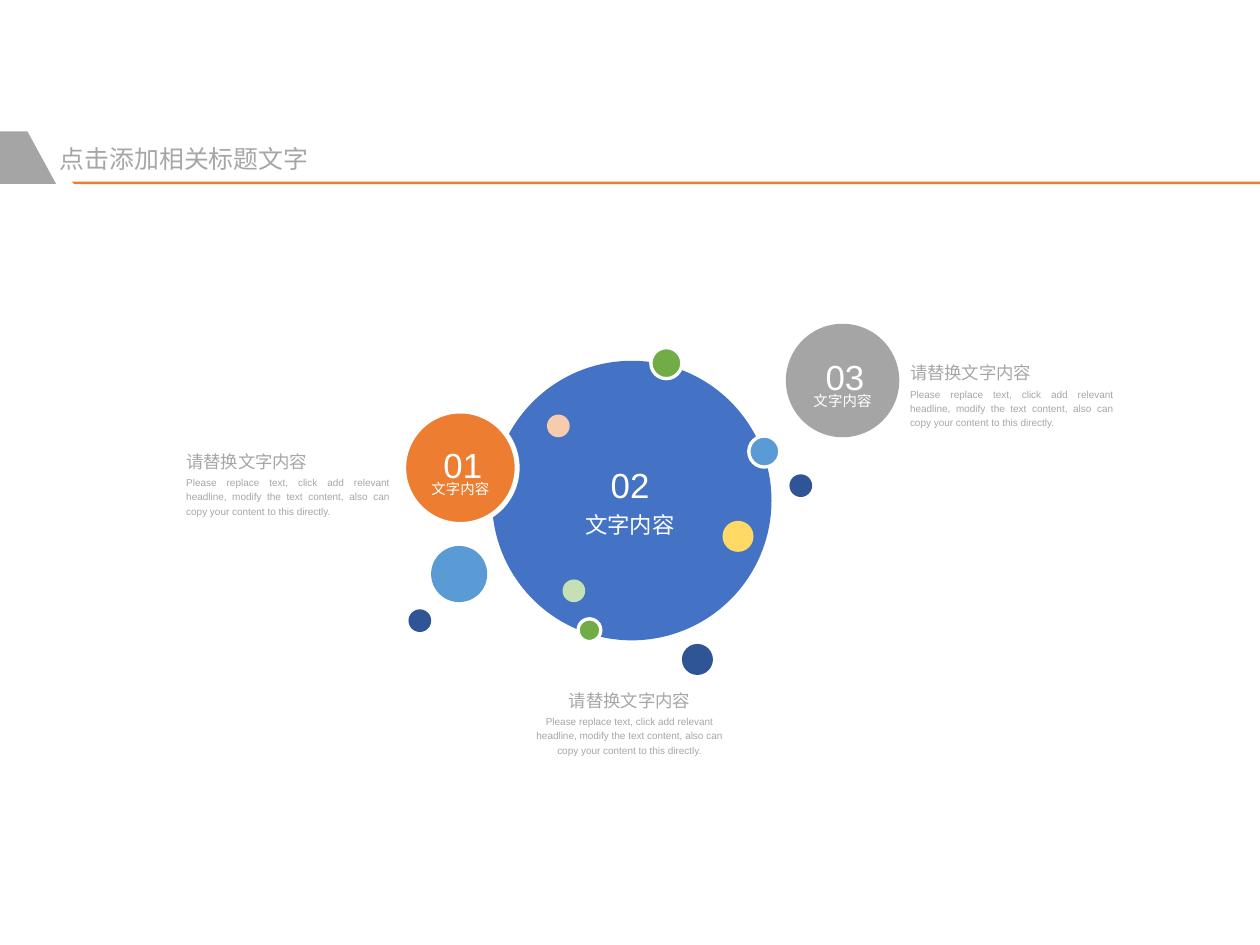
from dataclasses import dataclass

from pptx import Presentation
from pptx.dml.color import RGBColor
from pptx.enum.shapes import MSO_SHAPE
from pptx.enum.text import MSO_ANCHOR, MSO_AUTO_SIZE, PP_ALIGN
from pptx.shapes.base import BaseShape
from pptx.slide import Slide
from pptx.text.text import TextFrame
from pptx.util import Inches, Pt

OVAL = MSO_SHAPE.OVAL
TOP, MIDDLE = MSO_ANCHOR.TOP, MSO_ANCHOR.MIDDLE
LEFT, CENTER, JUSTIFY = PP_ALIGN.LEFT, PP_ALIGN.CENTER, PP_ALIGN.JUSTIFY
NO_FIT, GROW = MSO_AUTO_SIZE.NONE, MSO_AUTO_SIZE.SHAPE_TO_FIT_TEXT

FONT = "Arial"
COLORS = {
    "white": "FFFFFF", "text": "A6A6A6", "gray": "A5A5A5", "blue": "4472C4",
    "navy": "2F5597", "sky": "5B9BD5", "green": "70AD47", "mint": "C5E0B4",
    "orange": "ED7D31", "peach": "F8CBAD", "yellow": "FFD966",
}
TITLE = "点击添加相关标题文字"
LABEL = "文字内容"
HEADING = "请替换文字内容"
BODY = ("Please replace text, click add relevant headline, modify the text "
        "content, also can copy your content to this directly.")
BODY_WIDTH, HEADING_WIDTH = 1.7, 1.29


@dataclass
class Disc:
    left: float
    top: float
    size: float
    color: str
    outline: float = 0


@dataclass
class Label:
    number: str
    number_left: float
    number_top: float
    left: float
    top: float
    height: float
    size: float


@dataclass
class Caption:
    left: float
    top: float
    align: PP_ALIGN


DISCS = [
    Disc(4.12, 3.02, 2.34, "blue"),
    Disc(5.45, 2.91, 0.26, "green", 2),
    Disc(4.84, 5.18, 0.19, "green", 2),
    Disc(6.61, 3.97, 0.19, "navy"),
    Disc(5.71, 5.39, 0.26, "navy"),
    Disc(4.58, 3.47, 0.19, "peach"),
    Disc(3.38, 3.44, 0.95, "orange", 3),
    Disc(6.05, 4.36, 0.26, "yellow"),
    Disc(3.61, 4.57, 0.47, "sky"),
    Disc(6.58, 2.71, 0.95, "gray"),
    Disc(6.27, 3.65, 0.26, "sky", 2),
    Disc(3.42, 5.1, 0.19, "navy"),
    Disc(4.71, 4.85, 0.19, "mint"),
]
LABELS = [
    Label("01", 3.63, 3.64, 3.44, 4, 0.16, 8.7),
    Label("02", 5.03, 3.81, 4.86, 4.24, 0.25, 13.5),
    Label("03", 6.83, 2.91, 6.64, 3.26, 0.16, 8.7),
]
CAPTIONS = [
    Caption(1.56, 3.74, JUSTIFY),
    Caption(4.42, 5.74, CENTER),
    Caption(7.62, 3, JUSTIFY),
]
HEADER = {
    "orange": [(0.6, 1.52), (10.55, 1.52), (10.55, 1.54), (0.62, 1.54)],
    "gray": [(0.23, 1.1), (0.47, 1.54), (0, 1.54), (0, 1.1)],
}


def rgb(color: str) -> RGBColor:
    return RGBColor.from_string(COLORS[color])


def paint(sp: BaseShape, color: str, outline: float = 0) -> None:
    sp.shadow.inherit = False
    sp.fill.solid()
    sp.fill.fore_color.rgb = rgb(color)
    if outline:
        sp.line.color.rgb = rgb("white")
        sp.line.width = Pt(outline)
    else:
        sp.line.fill.background()


def write(tf: TextFrame, text: str, size: float, color: str, align: PP_ALIGN,
          spacing: float = 1.2, anchor: MSO_ANCHOR = TOP) -> None:
    tf.margin_left = tf.margin_top = tf.margin_right = tf.margin_bottom = 0
    tf.word_wrap = True
    tf.vertical_anchor = anchor
    tf.text = text
    p = tf.paragraphs[0]
    p.alignment = align
    p.line_spacing = spacing
    r = p.runs[0]
    r.font.name = FONT
    r.font.size = Pt(size)
    r.font.color.rgb = rgb(color)


def add_text(s: Slide, left: float, top: float, width: float, height: float,
             text: str, size: float, color: str, align: PP_ALIGN,
             anchor: MSO_ANCHOR = TOP) -> None:
    sp = s.shapes.add_textbox(Inches(left), Inches(top), Inches(width), Inches(height))
    write(sp.text_frame, text, size, color, align, anchor=anchor)
    sp.text_frame.auto_size = GROW


def add_disc(s: Slide, disc: Disc) -> None:
    size = Inches(disc.size)
    sp = s.shapes.add_shape(OVAL, Inches(disc.left), Inches(disc.top), size, size)
    paint(sp, disc.color, disc.outline)


def add_label(s: Slide, label: Label) -> None:
    add_text(s, label.left, label.top, 0.83, label.height, LABEL, label.size,
             "white", CENTER, MIDDLE)
    add_text(s, label.number_left, label.number_top, 0.49, 0.39, label.number, 21,
             "white", CENTER)


def add_caption(s: Slide, caption: Caption) -> None:
    indent = (BODY_WIDTH - HEADING_WIDTH) / 2 if caption.align == CENTER else 0
    add_text(s, caption.left + indent, caption.top, HEADING_WIDTH, 0.19, HEADING,
             10.5, "text", caption.align)
    add_text(s, caption.left, caption.top + 0.23, BODY_WIDTH, 0.35, BODY,
             6, "text", caption.align)


def add_polygon(s: Slide, points: list[tuple[float, float]], color: str) -> None:
    start, *rest = [(Inches(x), Inches(y)) for x, y in points]
    builder = s.shapes.build_freeform(*start)
    builder.add_line_segments(rest, close=True)
    paint(builder.convert_to_shape(), color)


def set_title(s: Slide) -> None:
    sp = s.shapes.title
    sp.left, sp.top, sp.width, sp.height = map(Inches, (0.5, 1.2, 2.52, 0.25))
    write(sp.text_frame, TITLE, 15, "text", LEFT, spacing=1.0)
    sp.text_frame.auto_size = NO_FIT


def main() -> None:
    """Build the slide of three numbered circles with captions."""
    prs = Presentation()
    prs.slide_width, prs.slide_height = Inches(10.55), Inches(7.91)
    s = prs.slides.add_slide(prs.slide_layouts[5])
    set_title(s)
    for disc in DISCS:
        add_disc(s, disc)
    for label in LABELS:
        add_label(s, label)
    for caption in CAPTIONS:
        add_caption(s, caption)
    for color, points in HEADER.items():
        add_polygon(s, points, color)
    prs.save("out.pptx")


if __name__ == "__main__":
    main()
